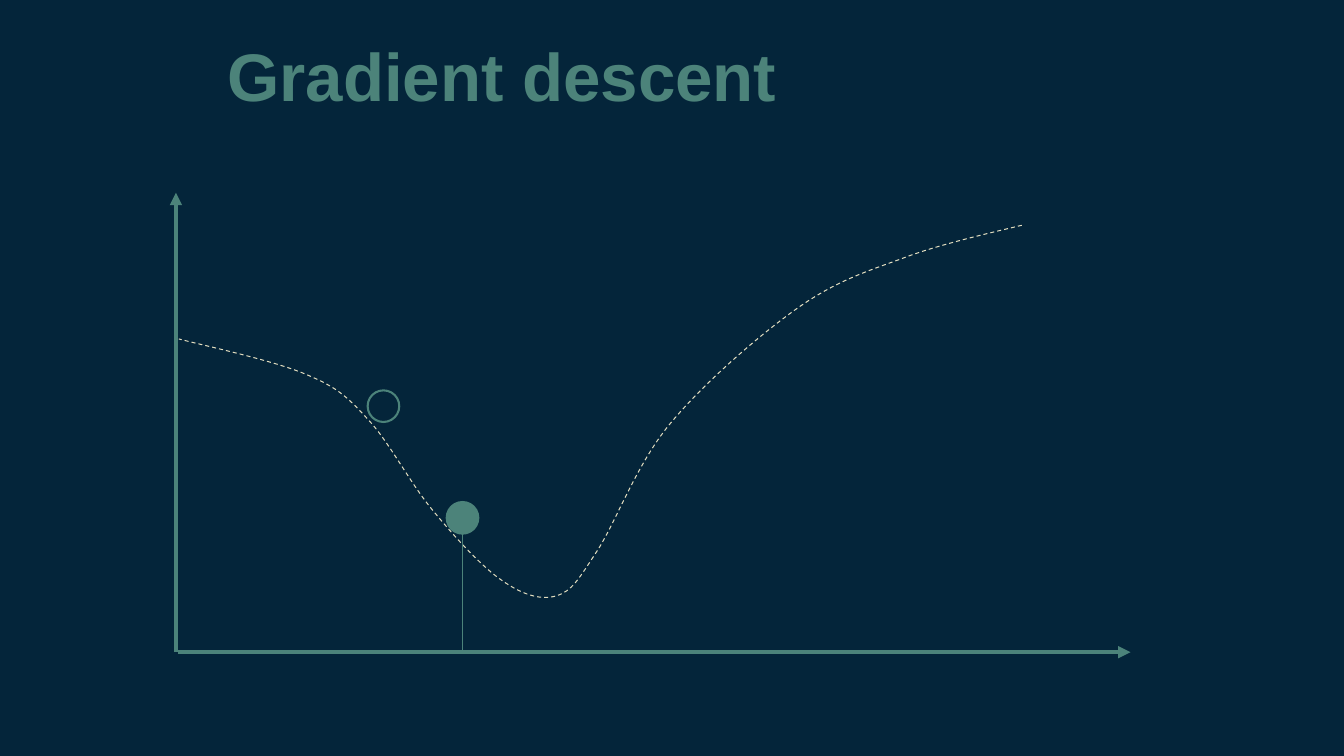
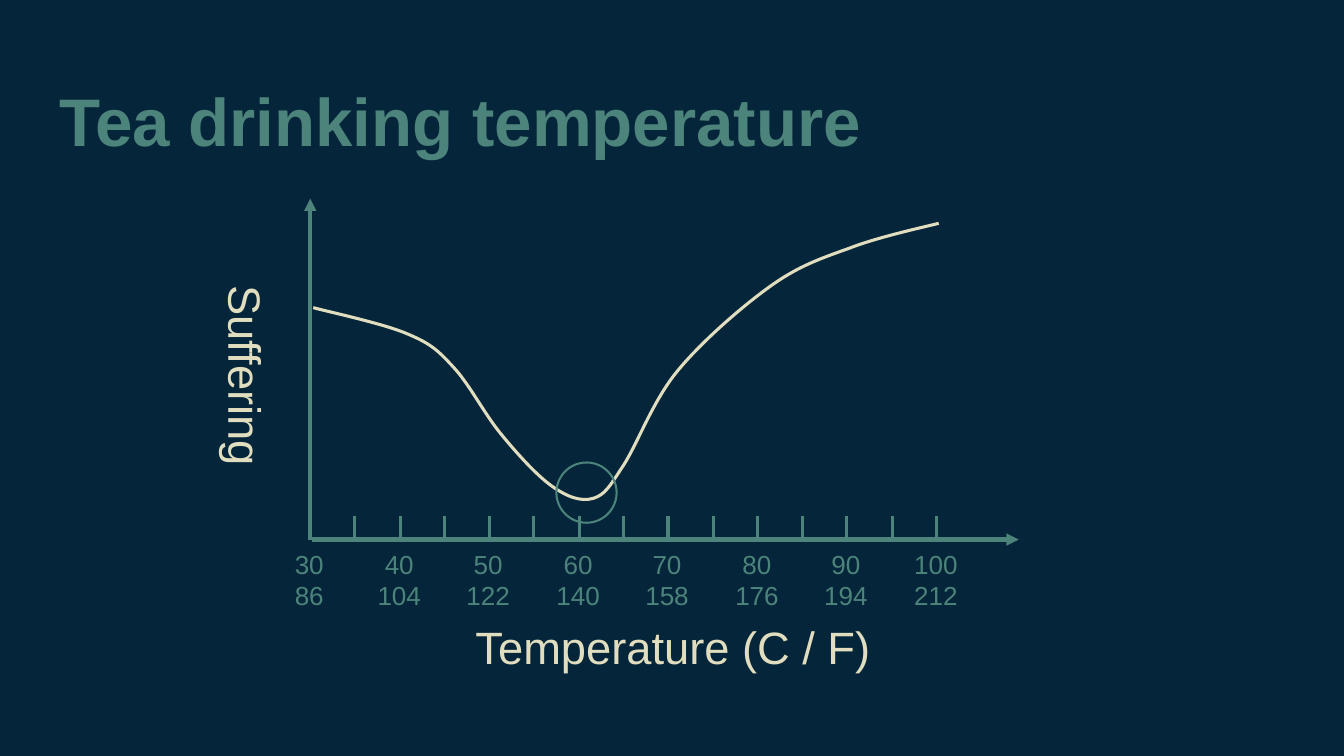
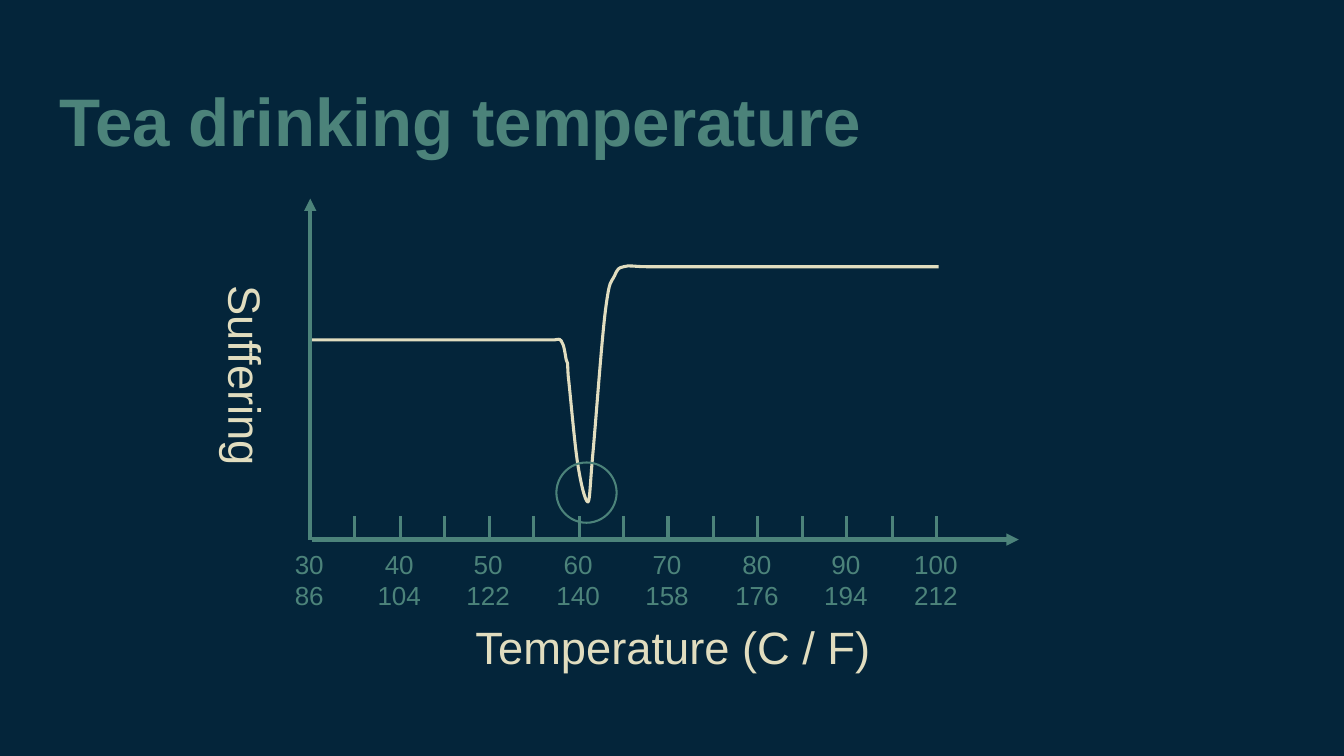
from dataclasses import dataclass

from lxml import etree
from pptx import Presentation
from pptx import util as u
from pptx.dml.color import RGBColor
from pptx.enum import dml, shapes, text
from pptx.oxml.ns import qn

PX = 9144  # EMU per px, 100 px to the inch
NAVY, GREEN, CREAM = "04253A", "4C837A", "E1DDBF"
FONT = "Arial"
INSET = 14


@dataclass(frozen=True)
class Box:
    left: int
    top: int
    width: int
    height: int

    def emu(self) -> list[int]:
        return [n * PX for n in (self.left, self.top, self.width, self.height)]


@dataclass(frozen=True)
class TextStyle:
    size: int
    color: str
    bold: bool = False
    align: text.PP_ALIGN = text.PP_ALIGN.CENTER


@dataclass(frozen=True)
class Curve:
    """A start point followed by cubic segments of three points each."""
    points: tuple[tuple[int, int], ...]


TITLE = TextStyle(49, GREEN, True, text.PP_ALIGN.LEFT)
AXIS_NAME = TextStyle(33, CREAM)
TICK_LABEL = TextStyle(19, GREEN)

VALLEY = Curve((
    (1034, 228),
    (1014, 233), (950, 247), (912, 262),
    (873, 276), (843, 286), (804, 314),
    (765, 342), (711, 389), (678, 429),
    (644, 470), (623, 529), (604, 558),
    (585, 587), (579, 598), (563, 603),
    (546, 608), (527, 601), (506, 586),
    (485, 571), (458, 541), (436, 514),
    (414, 487), (393, 446), (372, 424),
    (351, 401), (341, 392), (310, 379),
    (278, 365), (203, 349), (181, 343),
))
NARROW_DIP = Curve((
    (950, 270),
    (911, 270), (766, 270), (717, 270),
    (668, 270), (670, 270), (656, 270),
    (641, 270), (637, 268), (631, 270),
    (626, 271), (625, 272), (622, 279),
    (618, 287), (617, 282), (613, 312),
    (609, 342), (603, 427), (600, 459),
    (597, 492), (597, 507), (595, 508),
    (592, 508), (587, 486), (584, 465),
    (581, 444), (577, 397), (575, 380),
    (574, 363), (575, 370), (573, 364),
    (572, 359), (571, 349), (568, 345),
    (566, 342), (564, 344), (561, 344),
    (558, 344), (570, 344), (550, 344),
    (530, 344), (481, 344), (442, 344),
    (403, 344), (337, 344), (316, 344),
))


def rgb(color: str) -> RGBColor:
    return RGBColor.from_string(color)


def set_line(line, color: str, weight: float) -> None:
    line.color.rgb = rgb(color)
    line.width = u.Pt(weight)


def add_slide(deck, title: str, title_box: Box):
    slide = deck.slides.add_slide(deck.slide_layouts[6])
    slide.background.fill.solid()
    slide.background.fill.fore_color.rgb = rgb(NAVY)
    add_text(slide, title, title_box, TITLE)
    return slide


def add_text(slide, wording: str, box: Box, style: TextStyle, rotation: int = 0) -> None:
    label = slide.shapes.add_textbox(*box.emu())
    label.rotation = rotation
    frame = label.text_frame
    frame.word_wrap = True
    frame.margin_left = frame.margin_right = INSET * PX
    frame.margin_top = frame.margin_bottom = INSET * PX
    frame.text = wording
    for paragraph in frame.paragraphs:
        paragraph.alignment = style.align
        for run in paragraph.runs:
            run.font.name = FONT
            run.font.size = u.Pt(style.size)
            run.font.bold = style.bold
            run.font.color.rgb = rgb(style.color)


def add_line(slide, start: tuple[int, int], end: tuple[int, int], weight: float,
             arrow: bool = False) -> None:
    connector = slide.shapes.add_connector(
        shapes.MSO_CONNECTOR.STRAIGHT, *(n * PX for n in (*start, *end)))
    set_line(connector.line, GREEN, weight)
    properties = connector._element.spPr
    if arrow:
        outline = properties.find(qn("a:ln"))
        etree.SubElement(outline, qn("a:tailEnd"), type="triangle")
    etree.SubElement(properties, qn("a:effectLst"))


def add_axes(slide, x: int, y: int, top: int, right: int) -> None:
    add_line(slide, (x, y), (x, top), 3, arrow=True)
    add_line(slide, (x + 2, y), (right, y), 3, arrow=True)


def add_circle(slide, left: int, top: int, size: int, fill: str | None = None) -> None:
    circle = slide.shapes.add_shape(
        shapes.MSO_SHAPE.OVAL, *Box(left, top, size, size).emu())
    circle.shadow.inherit = False
    if fill:
        circle.fill.solid()
        circle.fill.fore_color.rgb = rgb(fill)
    else:
        circle.fill.background()
    set_line(circle.line, GREEN, 1.5)


def add_curve(slide, curve: Curve, box: Box, weight: float, dashed: bool = False) -> None:
    """Fit the curve to the box, turning each three line steps into one cubic."""
    start, *rest = curve.points
    builder = slide.shapes.build_freeform(*start, scale=PX)
    builder.add_line_segments(rest, close=False)
    shape = builder.convert_to_shape()
    outline = next(shape._element.iter(qn("a:path")))
    steps = outline.findall(qn("a:lnTo"))
    for first in range(0, len(steps), 3):
        cubic = etree.SubElement(outline, qn("a:cubicBezTo"))
        for step in steps[first:first + 3]:
            cubic.append(step[0])
            outline.remove(step)
    shape.left, shape.top, shape.width, shape.height = box.emu()
    shape.shadow.inherit = False
    shape.fill.background()
    set_line(shape.line, CREAM, weight)
    if dashed:
        shape.line.dash_style = dml.MSO_LINE.DASH


def add_descent_slide(deck) -> None:
    slide = add_slide(deck, "Gradient descent", Box(216, 21, 829, 85))
    add_axes(slide, x=178, y=660, top=195, right=1144)
    add_curve(slide, VALLEY, Box(181, 228, 853, 380), 0.75, dashed=True)
    add_circle(slide, 372, 395, 32, NAVY)
    add_circle(slide, 452, 508, 32, GREEN)
    add_line(slide, (468, 524), (468, 658), 0.75)


def add_tea_slide(deck, curve: Curve, curve_box: Box) -> None:
    slide = add_slide(deck, "Tea drinking temperature", Box(46, 66, 1267, 85))
    add_curve(slide, curve, curve_box, 2.25)
    origin_x, axis_y = 314, 546
    add_axes(slide, origin_x, axis_y, top=201, right=1031)
    add_text(slide, "Suffering", Box(103, 338, 292, 84), AXIS_NAME, rotation=90)
    add_text(slide, "Temperature (C / F)", Box(415, 613, 532, 84), AXIS_NAME)
    for celsius in range(30, 101, 5):
        x = origin_x + round((celsius - 30) * 634 / 70)
        if celsius > 30:
            add_line(slide, (x, axis_y), (x, axis_y - 24), 2.25)
        if celsius % 10 == 0:
            fahrenheit = celsius * 9 // 5 + 32
            add_text(slide, f"{celsius}\n{fahrenheit}",
                     Box(x - 43, axis_y - 5, 84, 84), TICK_LABEL)
    add_circle(slide, 563, 468, 61)


def main() -> None:
    deck = Presentation()
    deck.slide_width, deck.slide_height = 1360 * PX, 765 * PX
    add_descent_slide(deck)
    add_tea_slide(deck, VALLEY, Box(317, 226, 633, 282))
    add_tea_slide(deck, NARROW_DIP, Box(316, 268, 634, 240))
    deck.save("out.pptx")


if __name__ == "__main__":
    main()
